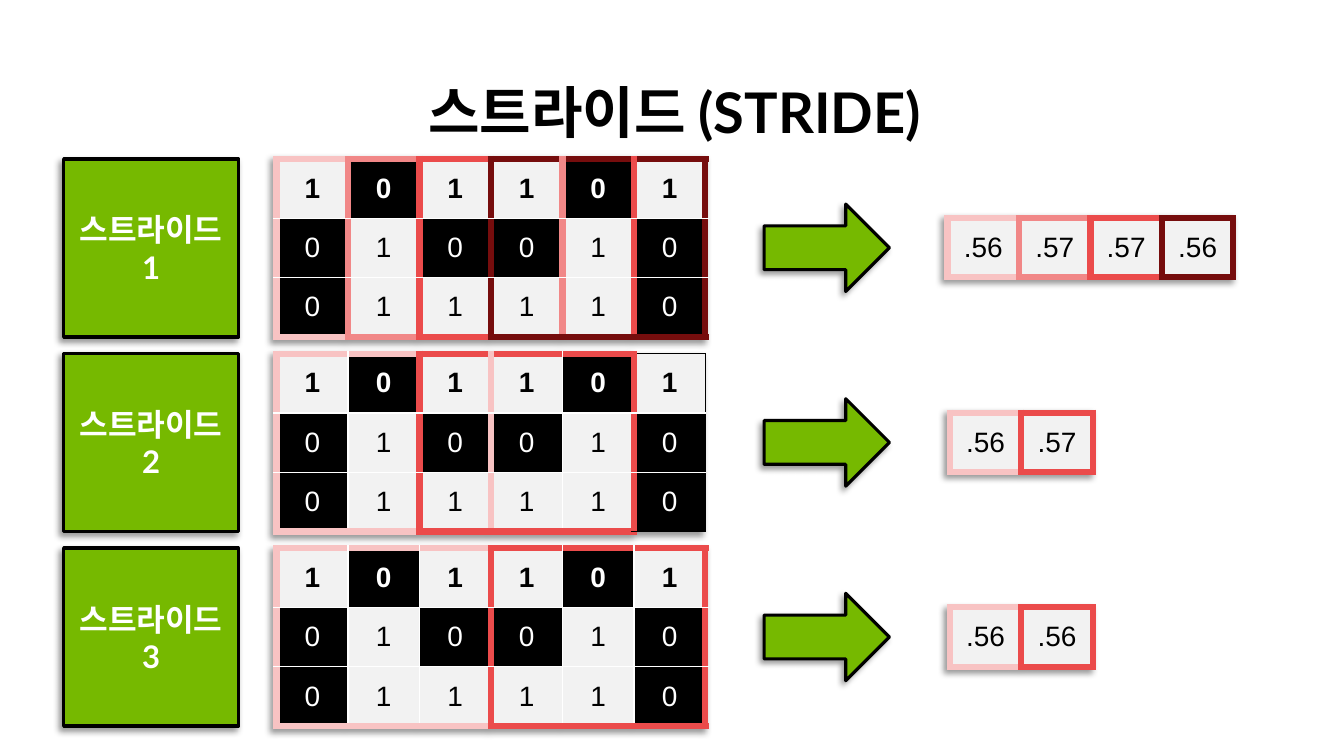
from pptx import Presentation
from pptx.dml.color import RGBColor
from pptx.enum.shapes import MSO_SHAPE as Preset
from pptx.enum.text import MSO_ANCHOR as Anchor, PP_ALIGN as Align
from pptx.oxml import parse_xml
from pptx.oxml.ns import nsdecls
from pptx.util import Pt

BLACK = RGBColor(0x00, 0x00, 0x00)
WHITE = RGBColor(0xFF, 0xFF, 0xFF)
LIGHT = RGBColor(0xF2, 0xF2, 0xF2)
GREEN = RGBColor(0x76, 0xB9, 0x00)
PINK = RGBColor(0xF8, 0xC3, 0xC3)
ROSE = RGBColor(0xF1, 0x87, 0x87)
RED = RGBColor(0xEB, 0x4B, 0x4B)
MAROON = RGBColor(0x76, 0x0D, 0x0D)

COLUMN_WIDTH, ROW_HEIGHT = 45.95, 38.15
SHADOW = (
    f'<a:outerShdw {nsdecls("a")} blurRad="50800" dist="38100" dir="8100000" algn="tr" '
    'rotWithShape="0"><a:srgbClr val="000000"><a:alpha val="40000"/></a:srgbClr></a:outerShdw>'
)
INPUT_ROWS = [["1", "0", "1", "1", "0", "1"],
              ["0", "1", "0", "0", "1", "0"],
              ["0", "1", "1", "1", "1", "0"]]
STRIDES = [
    ("스트라이드 1", [(0, PINK), (1, ROSE), (2, RED), (3, MAROON)], [".56", ".57", ".57", ".56"], 609.1),
    ("스트라이드 2", [(0, PINK), (2, RED)], [".56", ".57"], 610.6),
    ("스트라이드 3", [(0, PINK), (3, RED)], [".56", ".56"], 610.6),
]


def write(text_frame, text, font="Arial", size=18, color=BLACK, bold=False, anchor=Anchor.MIDDLE, spacing=1.0):
    text_frame.word_wrap = True
    text_frame.vertical_anchor = anchor
    paragraph = text_frame.paragraphs[0]
    paragraph.alignment = Align.CENTER
    paragraph.line_spacing = spacing
    run = paragraph.add_run()
    run.text = text
    run.font.name = font
    run.font.size = Pt(size)
    run.font.bold = bold
    run.font.color.rgb = color


def add_grid(left, top, values, windows, span):
    row_count, column_count = len(values), len(values[0])
    frame = slide.shapes.add_table(row_count, column_count, Pt(left), Pt(top),
                                   Pt(column_count * COLUMN_WIDTH), Pt(row_count * ROW_HEIGHT))
    table = frame.table
    table.first_row = table.horz_banding = False
    effects = parse_xml(f'<a:effectLst {nsdecls("a")}/>')
    effects.append(parse_xml(SHADOW))
    table._tbl.tblPr.insert(0, effects)
    for column in table.columns:
        column.width = Pt(COLUMN_WIDTH)
    for row in table.rows:
        row.height = Pt(ROW_HEIGHT)

    thin = (WHITE, 1)
    sides = [thin] * column_count + [(BLACK, 1)]
    ends = [(BLACK, 1)] * column_count
    for start, color in windows:
        sides[start] = sides[start + span] = (color, 4.5)
        ends[start:start + span] = [(color, 4.5)] * span

    for r, row_values in enumerate(values):
        for c, value in enumerate(row_values):
            cell = table.cell(r, c)
            borders = {"lnL": sides[c], "lnR": sides[c + 1],
                       "lnT": ends[c] if r == 0 else thin,
                       "lnB": ends[c] if r == row_count - 1 else thin}
            for tag, (color, width) in borders.items():
                cell._tc.get_or_add_tcPr().append(parse_xml(
                    f'<a:{tag} {nsdecls("a")} w="{Pt(width)}"><a:solidFill>'
                    f'<a:srgbClr val="{color}"/></a:solidFill></a:{tag}>'))
            cell.fill.solid()
            cell.fill.fore_color.rgb = BLACK if value == "0" else LIGHT
            cell.vertical_anchor = Anchor.MIDDLE
            write(cell.text_frame, value, color=WHITE if value == "0" else BLACK,
                  bold=row_count > 1 and r == 0)


presentation = Presentation()
presentation.slide_width, presentation.slide_height = Pt(864), Pt(486)
slide = presentation.slides.add_slide(presentation.slide_layouts[5])

title = slide.shapes.title
title.left, title.top, title.width, title.height = Pt(41), Pt(50.4), Pt(785.5), Pt(46.8)
write(title.text_frame, "스트라이드 (STRIDE)", font="Lato", size=36, bold=True,
      anchor=Anchor.BOTTOM, spacing=0.9)

for index, (label, windows, results, result_left) in enumerate(STRIDES):
    top = 102.2 + index * 125.1
    card = slide.shapes.add_shape(Preset.RECTANGLE, Pt(41), Pt(top), Pt(112.3), Pt(114.5))
    write(card.text_frame, label, font="Lato", size=20, color=WHITE, bold=True)
    arrow = slide.shapes.add_shape(Preset.RIGHT_ARROW, Pt(491.2), Pt(top + 29), Pt(80.6), Pt(56.2))
    for shape, line_width in ((card, 2.25), (arrow, 2)):
        shape.fill.solid()
        shape.fill.fore_color.rgb = GREEN
        shape.line.color.rgb = BLACK
        shape.line.width = Pt(line_width)
        shape.shadow.inherit = False
        shape._element.spPr.effectLst.append(parse_xml(SHADOW))

    add_grid(177.8, top, INPUT_ROWS, windows, span=3)
    result_windows = [(position, color) for position, (start, color) in enumerate(windows)]
    add_grid(result_left, top + 38, [results], result_windows, span=1)

presentation.save("out.pptx")
